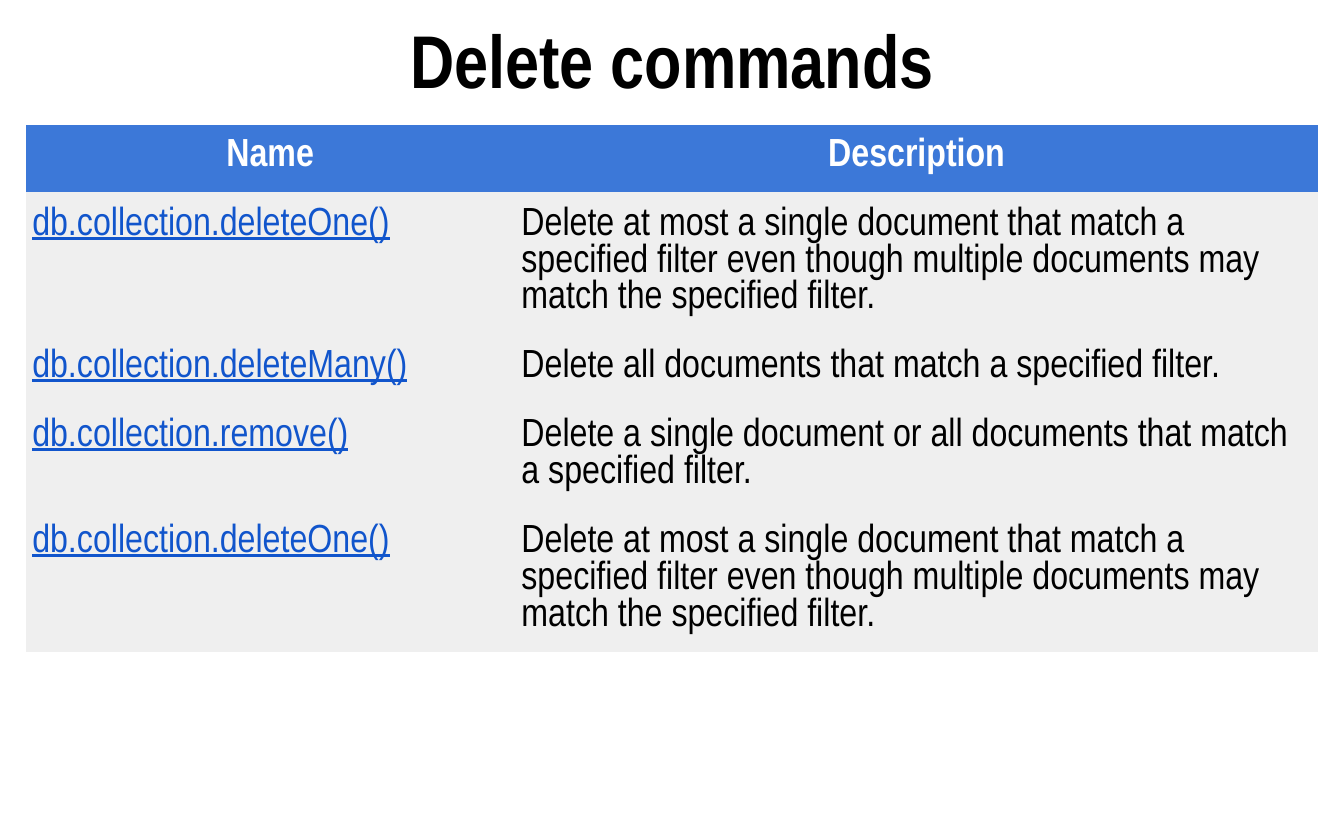
"""Build a slide with a table of document delete commands."""
from pptx import Presentation
from pptx.dml.color import RGBColor
from pptx.enum.text import MSO_ANCHOR, PP_ALIGN
from pptx.util import Inches, Pt


def color(hex_value):
    return RGBColor.from_string(hex_value)


def format_text(paragraph, size, hex_value, bold=False, underline=False, align=PP_ALIGN.LEFT):
    paragraph.alignment = align
    for run in paragraph.runs:
        run.font.name = "Arial Narrow"
        run.font.size = Pt(size)
        run.font.bold = bold
        run.font.underline = underline
        run.font.color.rgb = color(hex_value)


delete_one = (
    "db.collection.deleteOne()",
    "Delete at most a single document that match a specified filter even though "
    "multiple documents may match the specified filter.",
)
commands = [
    ("Name", "Description"),
    delete_one,
    ("db.collection.deleteMany()", "Delete all documents that match a specified filter."),
    ("db.collection.remove()", "Delete a single document or all documents that match a specified filter."),
    delete_one,
]
column_widths = [3.64, 5.98]
row_heights = [0.5, 1.06, 0.51, 0.79, 1.06]

presentation = Presentation()
presentation.slide_width = Inches(10)
presentation.slide_height = Inches(6.25)
slide = presentation.slides.add_slide(presentation.slide_layouts[5])

heading = slide.shapes.title
heading.left, heading.top = Inches(0), Inches(0)
heading.width, heading.height = Inches(10), Inches(0.87)
heading_frame = heading.text_frame
heading_frame.text = "Delete commands"
heading_frame.vertical_anchor = MSO_ANCHOR.BOTTOM
heading_frame.margin_left = heading_frame.margin_right = Inches(0.1)
heading_frame.margin_top = heading_frame.margin_bottom = Inches(0.1)
format_text(heading_frame.paragraphs[0], 40, "000000", bold=True, align=PP_ALIGN.CENTER)

command_table = slide.shapes.add_table(
    len(commands), len(column_widths), Inches(0.19), Inches(0.93),
    Inches(sum(column_widths)), Inches(sum(row_heights)),
).table
for column, width in zip(command_table.columns, column_widths):
    column.width = Inches(width)

for row_index, (command, height) in enumerate(zip(commands, row_heights)):
    command_table.rows[row_index].height = Inches(height)
    is_header = row_index == 0
    for column_index, wording in enumerate(command):
        cell = command_table.cell(row_index, column_index)
        cell.text_frame.text = wording
        cell.margin_left = cell.margin_right = Inches(0.05)
        cell.margin_top = Inches(0.1 if is_header else 0.11)
        cell.margin_bottom = Inches(0.12)
        cell.fill.solid()
        cell.fill.fore_color.rgb = color("3C78D8" if is_header else "EFEFEF")
        paragraph = cell.text_frame.paragraphs[0]
        if is_header:
            format_text(paragraph, 21, "FFFFFF", bold=True, align=PP_ALIGN.CENTER)
        elif column_index == 0:
            format_text(paragraph, 21, "1155CC", underline=True)
        else:
            format_text(paragraph, 21, "000000")

style_id = command_table._tbl.tblPr.find("{http://schemas.openxmlformats.org/drawingml/2006/main}tableStyleId")
style_id.text = "{2D5ABB26-0587-4C30-8999-92F81FD0307C}"

presentation.save("out.pptx")
